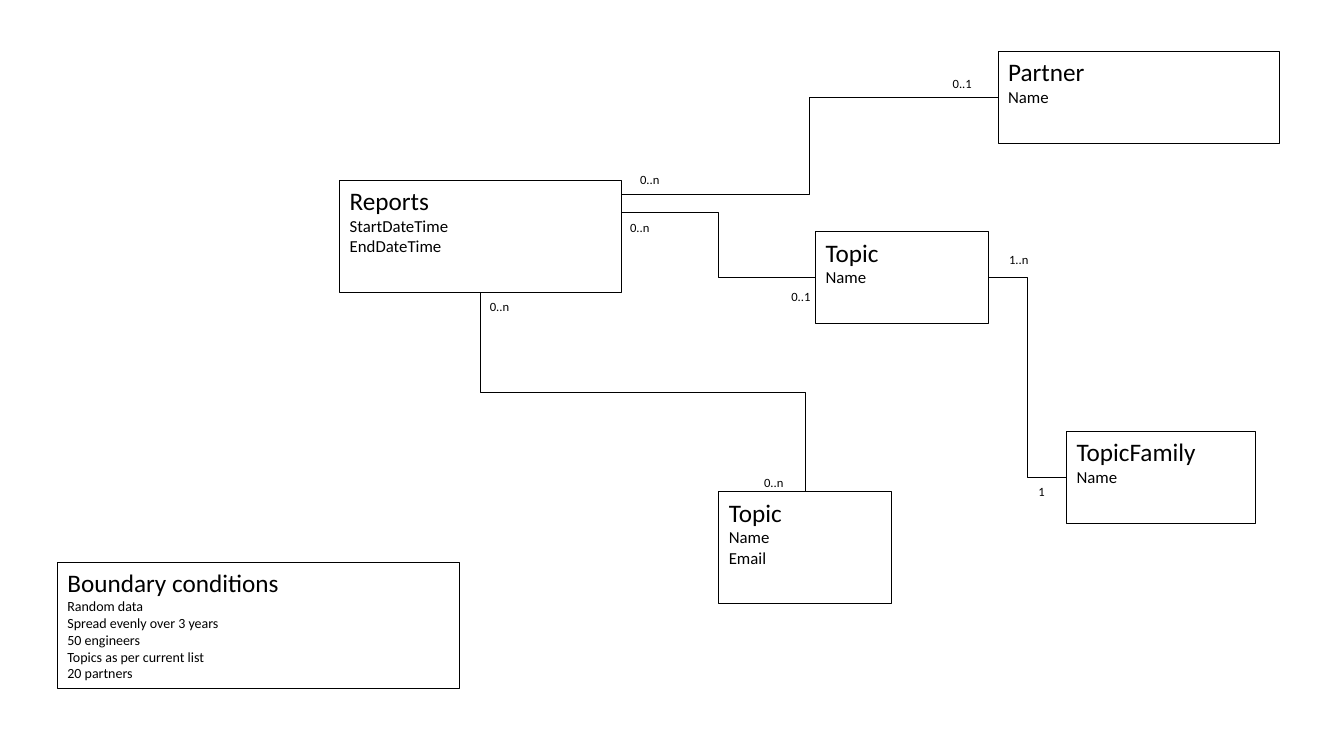
from pptx import Presentation
from pptx.dml.color import RGBColor
from pptx.enum.shapes import MSO_CONNECTOR, MSO_SHAPE
from pptx.enum.text import MSO_ANCHOR, PP_ALIGN
from pptx.oxml.ns import qn
from pptx.util import Inches, Pt
from lxml import etree

BLACK = RGBColor(0, 0, 0)
FONT = "Calibri"
RECT = MSO_SHAPE.RECTANGLE
ELBOW = MSO_CONNECTOR.ELBOW
TOP, LEFT_ALIGN = MSO_ANCHOR.TOP, PP_ALIGN.LEFT
SIDE_TOP, SIDE_LEFT, SIDE_BOTTOM, SIDE_RIGHT = range(4)

prs = Presentation()
prs.slide_width, prs.slide_height = Inches(13.33), Inches(7.5)
s = prs.slides.add_slide(prs.slide_layouts[6])


def write(tf, lines, sizes):
    """Fill a text frame; the first line takes sizes[0], the rest sizes[-1]."""
    tf.word_wrap = True
    tf.vertical_anchor = TOP
    tf.text = "\n".join(lines)
    for i, p in enumerate(tf.paragraphs):
        p.alignment = LEFT_ALIGN
        font = p.runs[0].font
        font.name, font.size = FONT, Pt(sizes[0] if i == 0 else sizes[-1])
        font.color.rgb = BLACK


def add_elbow(x1, y1, x2, y2):
    """Add a thin black elbow connector without a shadow."""
    c = s.shapes.add_connector(ELBOW, Inches(x1), Inches(y1), Inches(x2), Inches(y2))
    c.line.color.rgb = BLACK
    c.line.width = Pt(0.5)
    etree.SubElement(c._element.spPr, qn("a:effectLst"))
    return c


# Entity boxes and the boundary conditions: key, position, size, detail size, lines
entities = [
    ("reports", 3.37, 1.79, 2.79, 1.11, 12, ["Reports", "StartDateTime", "EndDateTime"]),
    ("partner", 9.9, 0.51, 2.79, 0.91, 12, ["Partner", "Name"]),
    ("topic", 8.09, 2.3, 1.71, 0.91, 12, ["Topic", "Name"]),
    ("family", 10.58, 4.28, 1.87, 0.91, 12, ["TopicFamily", "Name"]),
    ("contact", 7.13, 4.88, 1.71, 1.11, 12, ["Topic", "Name", "Email"]),
    ("boundary", 0.57, 5.58, 3.99, 1.25, 10,
     ["Boundary conditions", "Random data", "Spread evenly over 3 years",
      "50 engineers", "Topics as per current list", "20 partners"]),
]
boxes = {}
for key, x, y, w, h, detail_size, lines in entities:
    sp = s.shapes.add_shape(RECT, Inches(x), Inches(y), Inches(w), Inches(h))
    sp.shadow.inherit = False
    sp.fill.background()
    sp.line.color.rgb = BLACK
    sp.line.width = Pt(0.75)
    write(sp.text_frame, lines, (18, detail_size))
    boxes[key] = sp

# Relations leaving the right side of Reports
for key, x, y, report_y in [("partner", 9.9, 0.96, 1.93), ("topic", 8.09, 2.76, 2.11)]:
    add_elbow(x, y, 6.16, report_y).begin_connect(boxes[key], SIDE_LEFT)

# Relation between TopicFamily and Topic
link = add_elbow(10.58, 4.74, 9.8, 2.76)
link.begin_connect(boxes["family"], SIDE_LEFT)
link.end_connect(boxes["topic"], SIDE_RIGHT)

# Relation from below Reports, turned so that it leaves and arrives vertically
link = add_elbow(4.76, 2.9, 7.98, 4.88)
link.begin_connect(boxes["reports"], SIDE_BOTTOM)
link.end_connect(boxes["contact"], SIDE_TOP)
w, h = link.width, link.height
link.left, link.top = link.left + (w - h) // 2, link.top + (h - w) // 2
link.width, link.height = h, w
xfrm = link._element.spPr.find(qn("a:xfrm"))
xfrm.set("rot", "16200000")
xfrm.set("flipH", "1")

# Multiplicity labels
for x, y, label in [
    (6.25, 1.66, "0..n"), (9.35, 0.7, "0..1"), (7.75, 2.82, "0..1"),
    (6.15, 2.13, "0..n"), (10.2, 4.75, "1"), (9.91, 2.45, "1..n"),
    (4.76, 2.92, "0..n"), (7.48, 4.66, "0..n"),
]:
    tb = s.shapes.add_textbox(Inches(x), Inches(y), Inches(0.55), Inches(0.25))
    write(tb.text_frame, [label], (9,))

prs.save("out.pptx")
